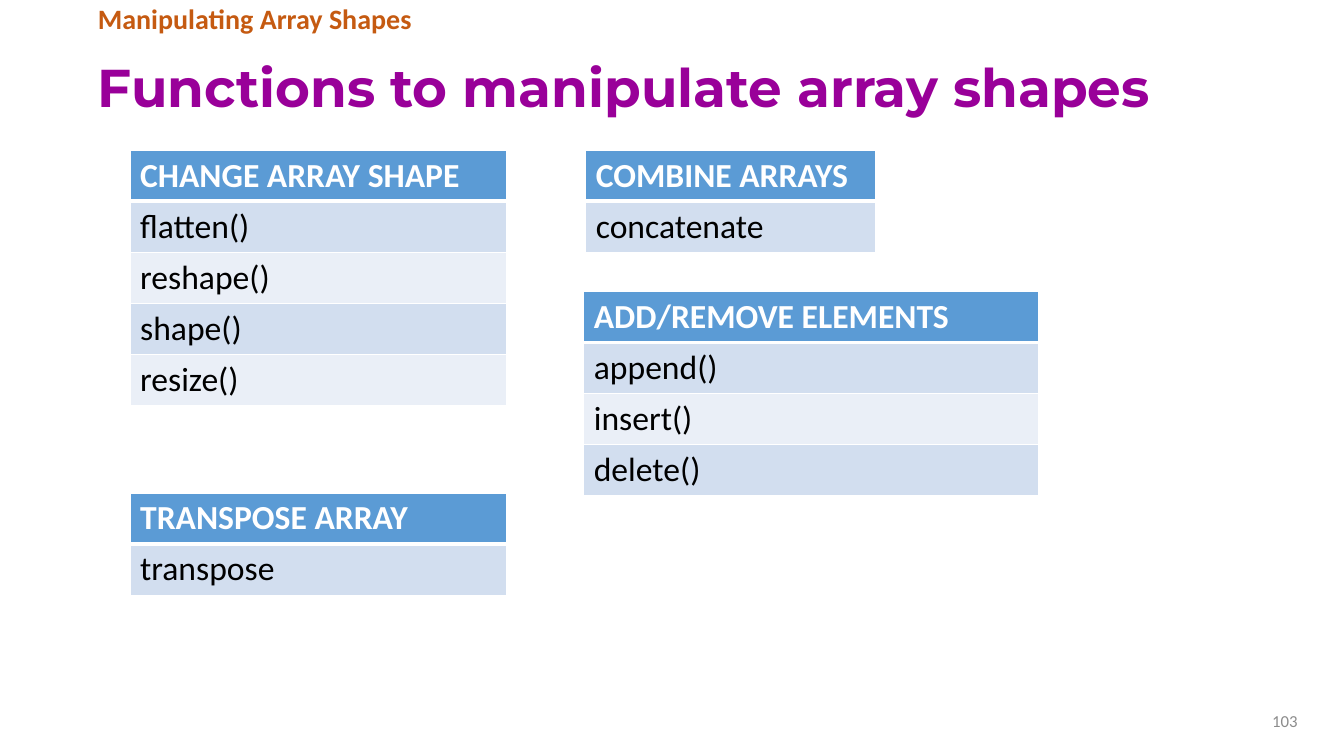
from dataclasses import dataclass

from lxml import etree
from pptx import Presentation
from pptx.dml.color import RGBColor
from pptx.enum.text import MSO_ANCHOR, MSO_AUTO_SIZE, PP_ALIGN
from pptx.oxml.ns import qn
from pptx.util import Inches, Pt

LEFT, RIGHT = PP_ALIGN.LEFT, PP_ALIGN.RIGHT
TOP, MIDDLE = MSO_ANCHOR.TOP, MSO_ANCHOR.MIDDLE
NO_AUTOFIT = MSO_AUTO_SIZE.NONE

WHITE, BLACK = "FFFFFF", "000000"
HEADER_FILL = "5B9BD5"
BAND_FILLS = ("D2DEEF", "EAEFF7")
ROW_HEIGHT = 0.5
EMU_PER_POINT = 12700


@dataclass(frozen=True)
class TextStyle:
    size: int
    color: str
    bold: bool = False
    font: str = "Calibri"


@dataclass(frozen=True)
class FunctionTable:
    left: float
    top: float
    width: float
    heading: str
    functions: tuple[str, ...]


TITLE_STYLE = TextStyle(38, "990099", True, "Montserrat")
TOPIC_STYLE = TextStyle(20, "C55A11", True)
NUMBER_STYLE = TextStyle(12, "8C8C8C")
HEADER_STYLE = TextStyle(24, WHITE, True)
FUNCTION_STYLE = TextStyle(24, BLACK)

TABLES = (
    FunctionTable(5.79, 2.89, 4.51, "ADD/REMOVE ELEMENTS", ("append()", "insert()", "delete()")),
    FunctionTable(5.81, 1.49, 2.87, "COMBINE ARRAYS", ("concatenate",)),
    FunctionTable(1.29, 1.49, 3.73, "CHANGE ARRAY SHAPE",
                  ("flatten()", "reshape()", "shape()", "resize()")),
    FunctionTable(1.29, 4.89, 3.73, "TRANSPOSE ARRAY", ("transpose",)),
)


def hex_color(value: str) -> RGBColor:
    return RGBColor.from_string(value)


def add_span(para, text: str, style: TextStyle) -> None:
    span = para.add_run()
    span.text = text
    span.font.size = Pt(style.size)
    span.font.name = style.font
    span.font.bold = style.bold
    span.font.color.rgb = hex_color(style.color)


def fill_box(box, area: tuple[float, ...], text: str, style: TextStyle,
             anchor=MIDDLE, align=LEFT, line_spacing: float = 1.0) -> None:
    box.left, box.top, box.width, box.height = map(Inches, area)
    frame = box.text_frame
    frame.word_wrap = True
    frame.auto_size = NO_AUTOFIT
    frame.vertical_anchor = anchor
    para = frame.paragraphs[0]
    para.alignment = align
    para.line_spacing = line_spacing
    para.space_before = Pt(0)
    add_span(para, text, style)


def remove_bullet(para) -> None:
    properties = para._p.get_or_add_pPr()
    properties.set("marL", "0")
    properties.set("indent", "0")
    etree.SubElement(properties, qn("a:buNone"))


def add_borders(cell, bottom_width: int) -> None:
    properties = cell._tc.get_or_add_tcPr()
    for side, width in (("L", 1), ("R", 1), ("T", 1), ("B", bottom_width)):
        line = etree.SubElement(properties, qn(f"a:ln{side}"), w=str(width * EMU_PER_POINT))
        fill = etree.SubElement(line, qn("a:solidFill"))
        etree.SubElement(fill, qn("a:srgbClr"), val=WHITE)


def fill_cell(cell, text: str, style: TextStyle, fill: str, bottom_width: int) -> None:
    add_borders(cell, bottom_width)
    cell.fill.solid()
    cell.fill.fore_color.rgb = hex_color(fill)
    add_span(cell.text_frame.paragraphs[0], text, style)


def add_function_table(page, item: FunctionTable) -> None:
    row_count = len(item.functions) + 1
    table = page.shapes.add_table(
        row_count, 1, Inches(item.left), Inches(item.top),
        Inches(item.width), Inches(ROW_HEIGHT * row_count)).table
    fill_cell(table.cell(0, 0), item.heading, HEADER_STYLE, HEADER_FILL, 3)
    for index, name in enumerate(item.functions):
        band = BAND_FILLS[index % len(BAND_FILLS)]
        fill_cell(table.cell(index + 1, 0), name, FUNCTION_STYLE, band, 1)


def main() -> None:
    deck = Presentation()
    deck.slide_width, deck.slide_height = Inches(13.33), Inches(7.5)
    page = deck.slides.add_slide(deck.slide_layouts[1])

    fill_box(page.shapes.title, (0.87, 0.41, 12.09, 0.97),
             "Functions to manipulate array shapes", TITLE_STYLE, line_spacing=0.9)

    topic = page.placeholders[1]
    remove_bullet(topic.text_frame.paragraphs[0])
    fill_box(topic, (0.87, 0, 12.09, 0.41), "Manipulating Array Shapes",
             TOPIC_STYLE, anchor=TOP, line_spacing=0.9)

    for item in TABLES:
        add_function_table(page, item)

    number_box = page.shapes.add_textbox(0, 0, 0, 0)
    fill_box(number_box, (9.7, 6.95, 3.27, 0.4), "103", NUMBER_STYLE, align=RIGHT)

    deck.save("out.pptx")


if __name__ == "__main__":
    main()
